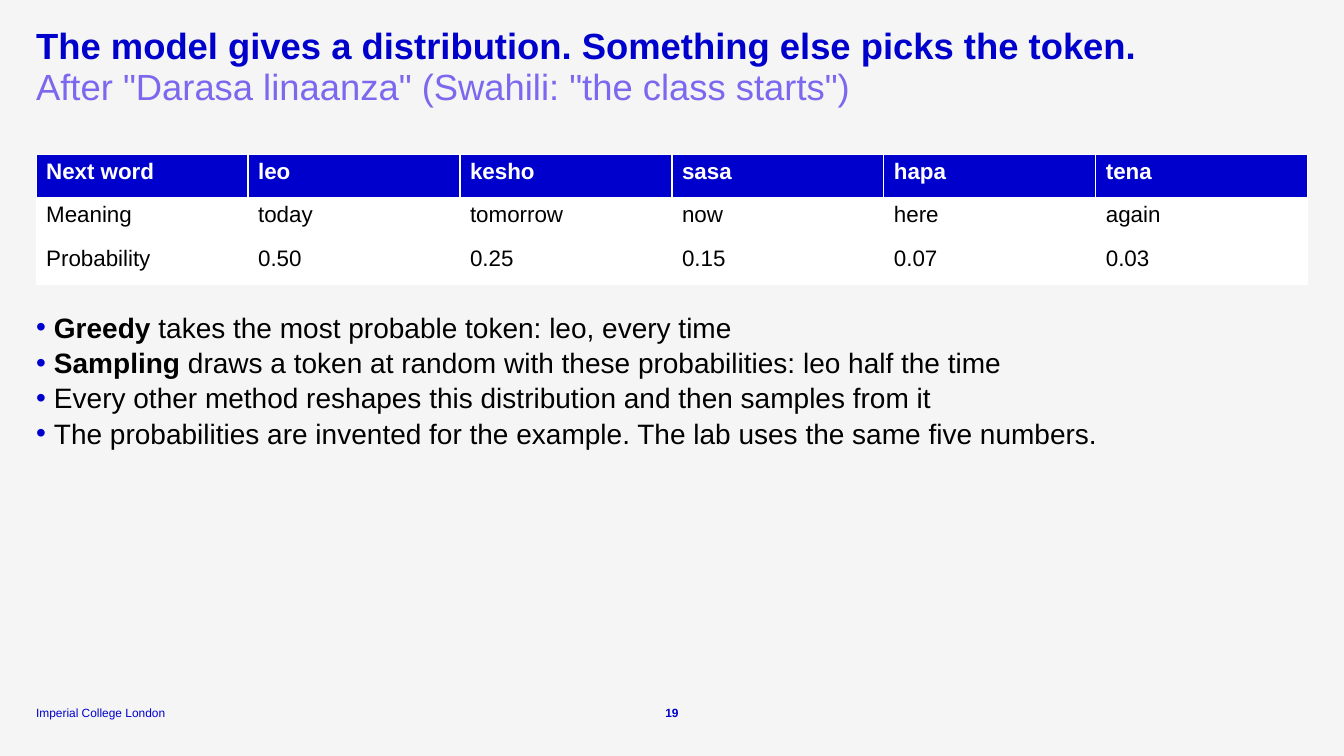
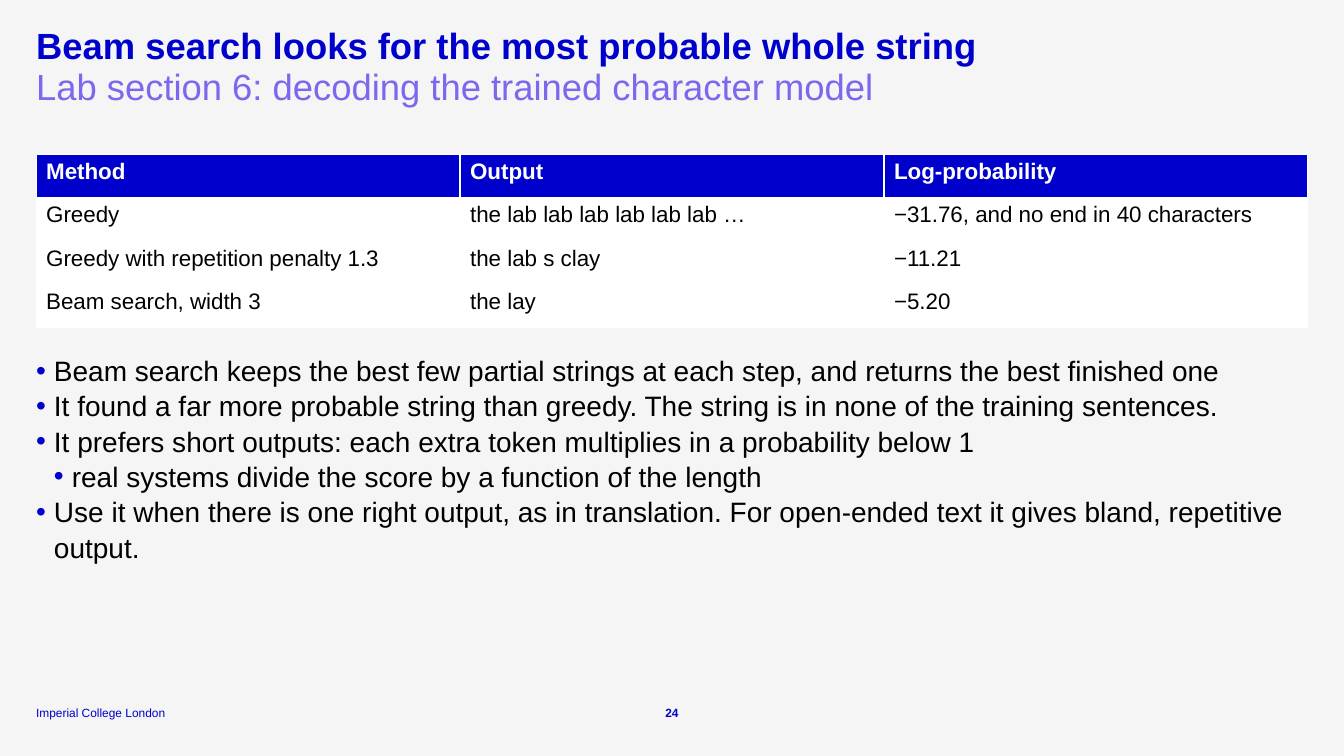
from lxml.etree import SubElement
from pptx import Presentation
from pptx.dml.color import RGBColor
from pptx.enum.text import MSO_ANCHOR, MSO_AUTO_SIZE, PP_ALIGN
from pptx.oxml.ns import qn
from pptx.util import Cm, Pt

# Content: a bullet is (level, bold lead, text)
SLIDES = [
    {
        "number": "19",
        "title": "The model gives a distribution. Something else picks the token.",
        "subtitle": 'After "Darasa linaanza" (Swahili: "the class starts")',
        "table": [
            ("Next word", "leo", "kesho", "sasa", "hapa", "tena"),
            ("Meaning", "today", "tomorrow", "now", "here", "again"),
            ("Probability", "0.50", "0.25", "0.15", "0.07", "0.03"),
        ],
        "bullets": [
            (0, "Greedy", " takes the most probable token: leo, every time"),
            (0, "Sampling", " draws a token at random with these probabilities: leo half the time"),
            (0, "", "Every other method reshapes this distribution and then samples from it"),
            (0, "", "The probabilities are invented for the example. The lab uses the same five numbers."),
        ],
        "body_height": 5.03,
    },
    {
        "number": "24",
        "title": "Beam search looks for the most probable whole string",
        "subtitle": "Lab section 6: decoding the trained character model",
        "table": [
            ("Method", "Output", "Log-probability"),
            ("Greedy", "the lab lab lab lab lab lab …", "−31.76, and no end in 40 characters"),
            ("Greedy with repetition penalty 1.3", "the lab s clay", "−11.21"),
            ("Beam search, width 3", "the lay", "−5.20"),
        ],
        "bullets": [
            (0, "", "Beam search keeps the best few partial strings at each step, "
                    "and returns the best finished one"),
            (0, "", "It found a far more probable string than greedy. "
                    "The string is in none of the training sentences."),
            (0, "", "It prefers short outputs: each extra token multiplies in a probability below 1"),
            (1, "", "real systems divide the score by a function of the length"),
            (0, "", "Use it when there is one right output, as in translation. "
                    "For open-ended text it gives bland, repetitive output."),
        ],
        "body_height": 7.19,
    },
]
FOOTER = "Imperial College London"

# Shared style, lengths in centimetres
COLORS = {"background": "F5F5F5", "blue": "0000CD", "violet": "7B68EE",
          "text": "000000", "white": "FFFFFF"}
FONT = "Arial"
SLIDE_WIDTH, SLIDE_HEIGHT = 33.87, 19.05
MARGIN = 0.91
CONTENT_WIDTH = SLIDE_WIDTH - 2 * MARGIN
TITLE_TOP, TITLE_HEIGHT = 0.71, 1.03
TABLE_TOP, ROW_HEIGHT = 3.89, 1.09
BODY_GAP = 0.62
INDENT = 0.45
FOOTER_TOP, FOOTER_HEIGHT, FOOTER_WIDTH = 17.75, 0.38, 3.94
NUMBER_WIDTH = 0.89


def color(name):
    return RGBColor.from_string(COLORS[name])


def style_font(font, size, color_name, bold=False):
    font.name = FONT
    font.size = Pt(size)
    font.bold = bold
    font.color.rgb = color(color_name)


def place(shape, left, top, width, height, anchor=MSO_ANCHOR.TOP):
    """Position a text shape, remove its insets and return its text frame."""
    shape.left, shape.top = Cm(left), Cm(top)
    shape.width, shape.height = Cm(width), Cm(height)
    frame = shape.text_frame
    frame.margin_left = frame.margin_top = frame.margin_right = frame.margin_bottom = 0
    frame.word_wrap = True
    frame.auto_size = MSO_AUTO_SIZE.NONE
    frame.vertical_anchor = anchor
    return frame


def add_bullet_mark(paragraph, level):
    """Give a paragraph a blue bullet with a hanging indent, or none at all."""
    properties = paragraph._p.get_or_add_pPr()
    properties.set("marL", str(Cm(INDENT * (level + 1))))
    properties.set("indent", str(-Cm(INDENT)))
    bullet_color = SubElement(properties, qn("a:buClr"))
    SubElement(bullet_color, qn("a:srgbClr"), val=COLORS["blue"])
    SubElement(properties, qn("a:buFont"), typeface=FONT)
    SubElement(properties, qn("a:buChar"), char="•")


def fill_heading(shape, text, top, color_name, bold):
    frame = place(shape, MARGIN, top, CONTENT_WIDTH, TITLE_HEIGHT)
    frame.text = text
    paragraph = frame.paragraphs[0]
    properties = paragraph._p.get_or_add_pPr()
    properties.set("marL", "0")
    properties.set("indent", "0")
    SubElement(properties, qn("a:buNone"))
    paragraph.alignment = PP_ALIGN.LEFT
    paragraph.line_spacing = 0.9
    paragraph.space_before = Pt(0)
    style_font(paragraph.font, 26, color_name, bold)


def fill_bullets(shape, bullets, top, height):
    frame = place(shape, MARGIN, top, CONTENT_WIDTH, height)
    for index, (level, lead, text) in enumerate(bullets):
        paragraph = frame.add_paragraph() if index else frame.paragraphs[0]
        paragraph.level = level
        add_bullet_mark(paragraph, level)
        paragraph.line_spacing = 1.05
        paragraph.space_before = Pt(0)
        style_font(paragraph.font, 20, "text")
        if lead:
            run = paragraph.add_run()
            run.text = lead
            run.font.bold = True
        paragraph.add_run().text = text


def add_data_table(slide, rows):
    """Add the table and return its height."""
    height = ROW_HEIGHT * len(rows)
    table = slide.shapes.add_table(len(rows), len(rows[0]), Cm(MARGIN), Cm(TABLE_TOP),
                                   Cm(CONTENT_WIDTH), Cm(height)).table
    table.horz_banding = False
    for row_index, row in enumerate(rows):
        is_header = row_index == 0
        for column_index, text in enumerate(row):
            cell = table.cell(row_index, column_index)
            cell.text = text
            cell.fill.solid()
            cell.fill.fore_color.rgb = color("blue" if is_header else "white")
            style_font(cell.text_frame.paragraphs[0].font, 16,
                       "white" if is_header else "text", is_header)
    return height


def add_footer_text(slide, text, left, width, alignment, bold=False):
    box = slide.shapes.add_textbox(0, 0, 0, 0)
    frame = place(box, left, FOOTER_TOP, width, FOOTER_HEIGHT, MSO_ANCHOR.BOTTOM)
    frame.text = text
    frame.paragraphs[0].alignment = alignment
    style_font(frame.paragraphs[0].font, 8.5, "blue", bold)


def build_slide(presentation, content):
    # The two-content layout supplies the title, subtitle and body placeholders
    slide = presentation.slides.add_slide(presentation.slide_layouts[3])
    title, subtitle, body = slide.placeholders[0], slide.placeholders[1], slide.placeholders[2]
    fill_heading(title, content["title"], TITLE_TOP, "blue", True)
    fill_heading(subtitle, content["subtitle"], TITLE_TOP + TITLE_HEIGHT, "violet", False)

    # The body follows the table
    table_height = add_data_table(slide, content["table"])
    fill_bullets(body, content["bullets"], TABLE_TOP + table_height + BODY_GAP,
                 content["body_height"])

    # Footer
    add_footer_text(slide, FOOTER, MARGIN, FOOTER_WIDTH, PP_ALIGN.LEFT)
    add_footer_text(slide, content["number"], (SLIDE_WIDTH - NUMBER_WIDTH) / 2,
                    NUMBER_WIDTH, PP_ALIGN.CENTER, True)


def main():
    presentation = Presentation()
    presentation.slide_width, presentation.slide_height = Cm(SLIDE_WIDTH), Cm(SLIDE_HEIGHT)
    background = presentation.slide_master.background.fill
    background.solid()
    background.fore_color.rgb = color("background")
    for content in SLIDES:
        build_slide(presentation, content)
    presentation.save("out.pptx")


if __name__ == "__main__":
    main()
